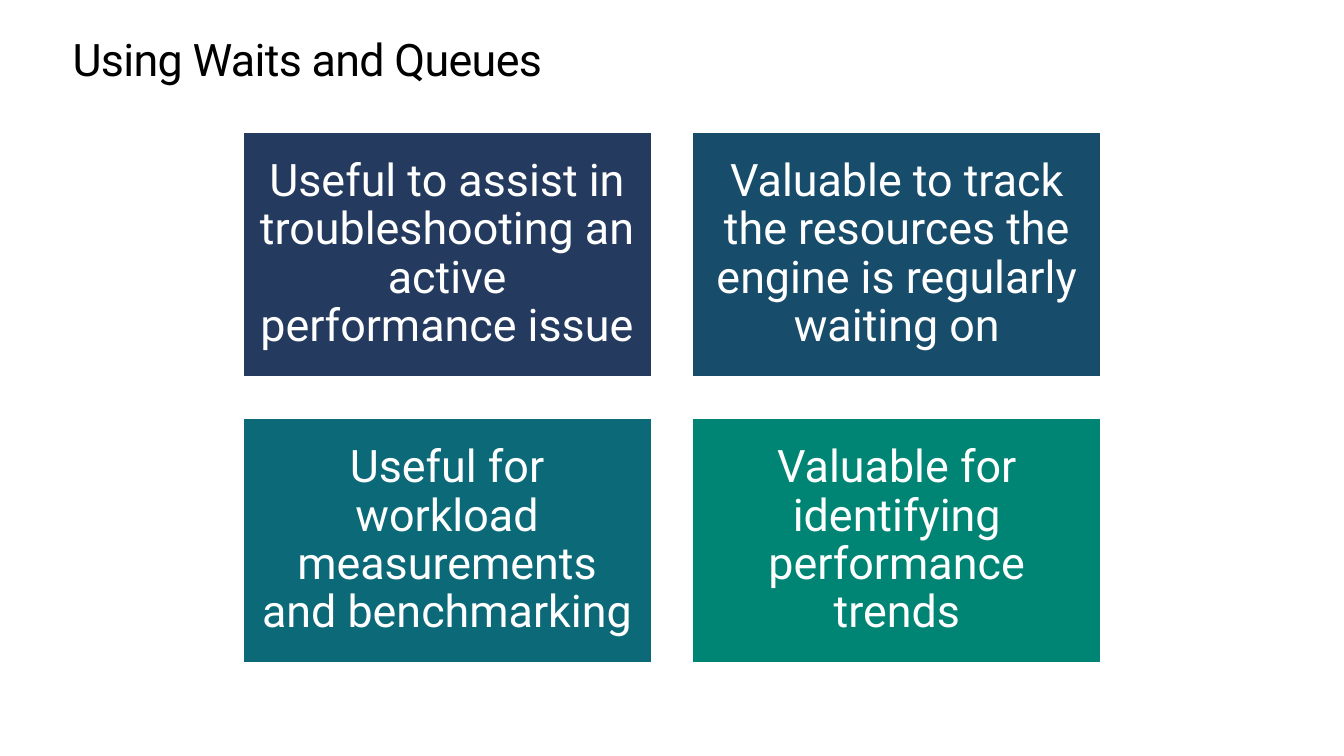
from pptx import Presentation
from pptx import util as u
from pptx.dml.color import RGBColor
from pptx.enum import shapes, text

WHITE = RGBColor(0xFF, 0xFF, 0xFF)
BLACK = RGBColor(0x00, 0x00, 0x00)
NAVY = RGBColor(0x24, 0x3A, 0x5E)
BLUE = RGBColor(0x18, 0x4C, 0x6B)
TEAL = RGBColor(0x0C, 0x6A, 0x78)
GREEN = RGBColor(0x00, 0x85, 0x75)

FONT = "Roboto"
FONT_SIZE = 32
COLUMNS = 2
GAP = 0.41

BENEFITS = [
    ("Useful to assist in troubleshooting an active performance issue", NAVY),
    ("Valuable to track the resources the engine is regularly waiting on", BLUE),
    ("Useful for workload measurements and benchmarking", TEAL),
    ("Valuable for identifying performance trends", GREEN),
]


def set_margins(frame, margin):
    frame.margin_left = frame.margin_right = u.Inches(margin)
    frame.margin_top = frame.margin_bottom = u.Inches(margin)


def add_text(paragraph, wording, color):
    run = paragraph.add_run()
    run.text = wording
    run.font.name = FONT
    run.font.size = u.Pt(FONT_SIZE)
    run.font.color.rgb = color
    return run


def add_title(slide, wording, left, top, width, height):
    title = slide.shapes.title
    title.left, title.top = u.Inches(left), u.Inches(top)
    title.width, title.height = u.Inches(width), u.Inches(height)
    title.fill.solid()
    title.fill.fore_color.rgb = WHITE
    frame = title.text_frame
    frame.word_wrap = True
    frame.auto_size = text.MSO_AUTO_SIZE.SHAPE_TO_FIT_TEXT
    frame.vertical_anchor = text.MSO_ANCHOR.TOP
    set_margins(frame, 0)
    paragraph = frame.paragraphs[0]
    paragraph.alignment = text.PP_ALIGN.LEFT
    paragraph.line_spacing = u.Pt(36.2)
    run = add_text(paragraph, wording, BLACK)
    run.font._element.set("spc", "-50")


def add_card(slide, wording, color, left, top, width, height):
    card = slide.shapes.add_shape(
        shapes.MSO_SHAPE.RECTANGLE,
        u.Inches(left), u.Inches(top), u.Inches(width), u.Inches(height))
    card.shadow.inherit = False
    card.fill.solid()
    card.fill.fore_color.rgb = color
    card.line.color.rgb = WHITE
    card.line.width = u.Pt(1)
    frame = card.text_frame
    frame.word_wrap = True
    frame.vertical_anchor = text.MSO_ANCHOR.MIDDLE
    set_margins(frame, 0.13)
    paragraph = frame.paragraphs[0]
    paragraph.alignment = text.PP_ALIGN.CENTER
    paragraph.line_spacing = 0.9
    paragraph.space_after = u.Pt(0.35 * FONT_SIZE)
    add_text(paragraph, wording, WHITE)


def add_card_grid(slide, benefits, left, top, width, height):
    rows = len(benefits) // COLUMNS
    card_width = (width - GAP * (COLUMNS - 1)) / COLUMNS
    card_height = (height - GAP * (rows - 1)) / rows
    for index, (wording, color) in enumerate(benefits):
        row, column = divmod(index, COLUMNS)
        add_card(slide, wording, color,
                 left + column * (card_width + GAP),
                 top + row * (card_height + GAP),
                 card_width, card_height)


def main():
    presentation = Presentation()
    presentation.slide_width = u.Inches(13.33)
    presentation.slide_height = u.Inches(7.5)
    slide = presentation.slides.add_slide(presentation.slide_layouts[5])
    slide.background.fill.solid()
    slide.background.fill.fore_color.rgb = WHITE
    add_title(slide, "Using Waits and Queues", 0.72, 0.35, 11.9, 0.5)
    add_card_grid(slide, BENEFITS, 2.41, 1.31, 8.51, 5.27)
    presentation.save("out.pptx")


if __name__ == "__main__":
    main()
